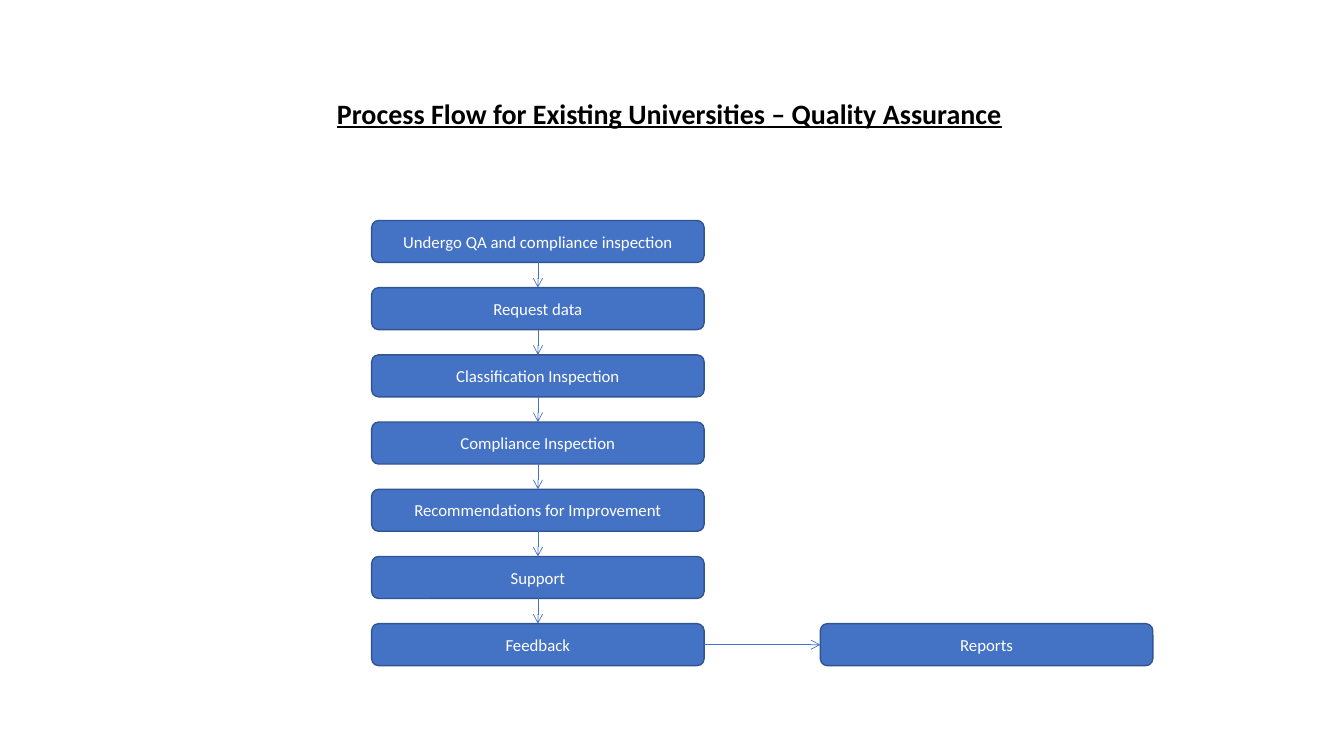
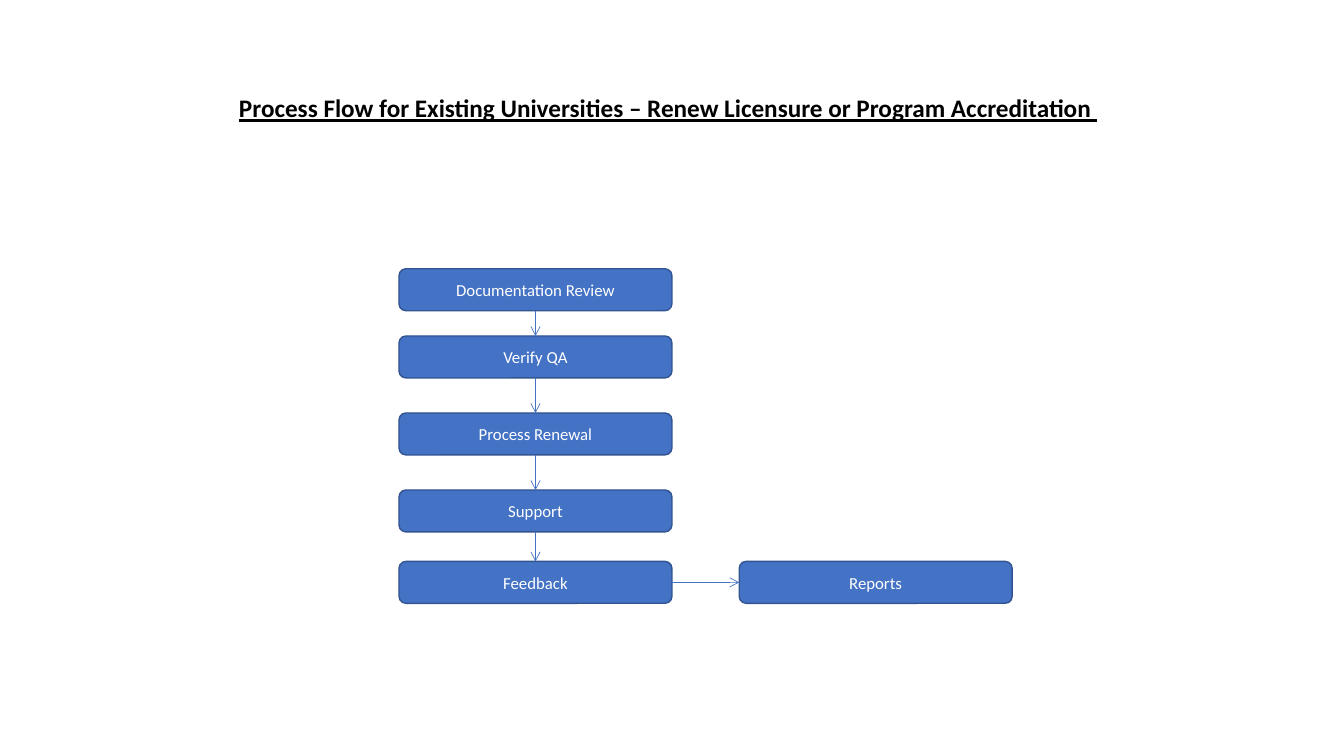
import pptx
import pptx.dml.color
import pptx.enum.shapes
import pptx.enum.text
import pptx.oxml.ns
import pptx.util
from dataclasses import dataclass
from itertools import pairwise
from lxml import etree

Pt = pptx.util.Pt
TOP, LEFT, BOTTOM, RIGHT = range(4)  # connection sites


@dataclass(frozen=True)
class Theme:
    font: str = "Calibri"
    fill: str = "4472C4"
    edge: str = "325491"
    ink: str = "000000"
    paper: str = "FFFFFF"
    label: float = 12
    edge_width: float = 1
    arrow_width: float = 0.5
    box_height: float = 30


def color(code):
    return pptx.dml.color.RGBColor.from_string(code)


class Deck:
    def __init__(self, theme):
        self.theme = theme
        self.show = pptx.Presentation()
        self.show.slide_width, self.show.slide_height = Pt(960), Pt(540)
        self.slide = None

    def style(self, frame, size, ink, align):
        para = frame.paragraphs[0]
        para.alignment = align
        font = para.runs[0].font
        font.name, font.size = self.theme.font, Pt(size)
        font.color.rgb = color(ink)
        return font

    def page(self, text, size, top, width, height):
        """Start a slide with its title box centred across the page."""
        self.slide = self.show.slides.add_slide(self.show.slide_layouts[5])
        title = self.slide.shapes.title
        title.left, title.top = Pt((960 - width) / 2), Pt(top)
        title.width, title.height = Pt(width), Pt(height)
        frame = title.text_frame
        frame.text = text
        frame.word_wrap = False
        frame.auto_size = pptx.enum.text.MSO_AUTO_SIZE.SHAPE_TO_FIT_TEXT
        frame.vertical_anchor = pptx.enum.text.MSO_ANCHOR.TOP
        font = self.style(frame, size, self.theme.ink,
                          pptx.enum.text.PP_ALIGN.LEFT)
        font.bold = font.underline = True

    def box(self, text, left, top, width):
        shape = self.slide.shapes.add_shape(
            pptx.enum.shapes.MSO_SHAPE.ROUNDED_RECTANGLE,
            Pt(left), Pt(top), Pt(width), Pt(self.theme.box_height))
        shape.shadow.inherit = False
        shape.fill.solid()
        shape.fill.fore_color.rgb = color(self.theme.fill)
        shape.line.color.rgb = color(self.theme.edge)
        shape.line.width = Pt(self.theme.edge_width)
        frame = shape.text_frame
        frame.text = text
        frame.word_wrap = True
        frame.vertical_anchor = pptx.enum.text.MSO_ANCHOR.MIDDLE
        self.style(frame, self.theme.label, self.theme.paper,
                   pptx.enum.text.PP_ALIGN.CENTER)
        return shape

    def arrow(self, start, out, end, into):
        link = self.slide.shapes.add_connector(
            pptx.enum.shapes.MSO_CONNECTOR.STRAIGHT, 0, 0, 0, 0)
        link.begin_connect(start, out)
        link.end_connect(end, into)
        link.line.color.rgb = color(self.theme.fill)
        link.line.width = Pt(self.theme.arrow_width)
        props = link.element.spPr
        qn = pptx.oxml.ns.qn
        etree.SubElement(props.find(qn("a:ln")), qn("a:tailEnd"), type="arrow")
        etree.SubElement(props, qn("a:effectLst"))

    def flow(self, steps, left, width, side, gap):
        """Stack (text, top) steps, then branch right from the last one."""
        boxes = [self.box(text, left, top, width) for text, top in steps]
        for above, below in pairwise(boxes):
            self.arrow(above, BOTTOM, below, TOP)
        branch = self.box(side, left + width + gap, steps[-1][1], width)
        self.arrow(boxes[-1], RIGHT, branch, LEFT)


def main():
    deck = Deck(Theme())

    # Quality assurance: evenly spaced steps
    deck.page("Process Flow for Existing Universities – Quality Assurance",
              size=20, top=65, width=493, height=31.5)
    names = ["Undergo QA and compliance inspection", "Request data",
             "Classification Inspection", "Compliance Inspection",
             "Recommendations for Improvement", "Support", "Feedback"]
    steps = [(name, 157.5 + 48 * i) for i, name in enumerate(names)]
    deck.flow(steps, left=265.5, width=237.5, side="Reports", gap=83)

    # Renewal: steps with their own tops
    deck.page("Process Flow for Existing Universities – "
              "Renew Licensure or Program Accreditation ",
              size=18, top=62.5, width=633, height=29)
    steps = [("Documentation Review", 192), ("Verify QA", 240),
             ("Process Renewal", 295), ("Support", 350), ("Feedback", 401)]
    deck.flow(steps, left=285, width=195, side="Reports", gap=48)

    deck.show.save("out.pptx")


if __name__ == "__main__":
    main()
